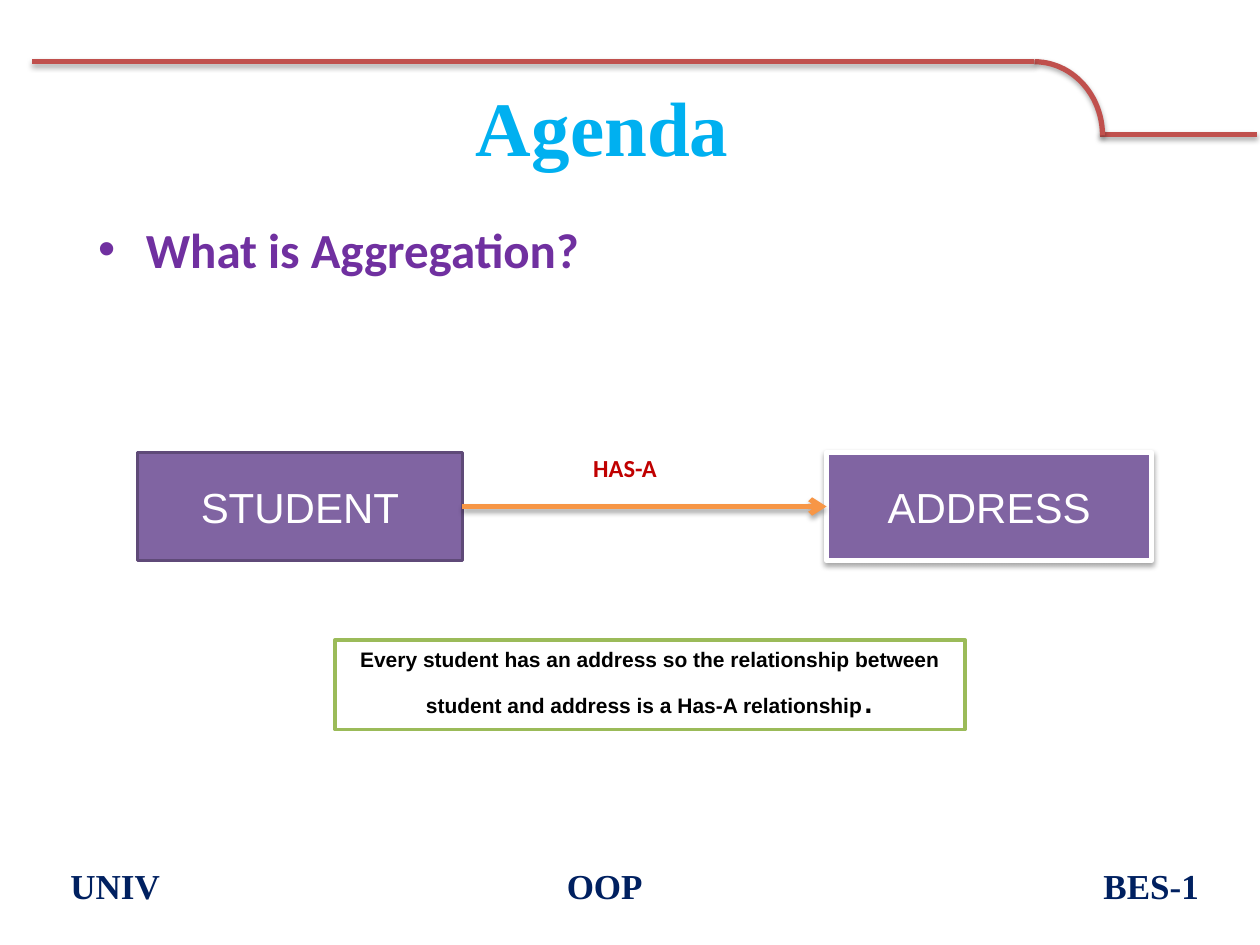
from lxml import etree
from pptx import Presentation
from pptx import util as u
from pptx.dml import color
from pptx.enum import shapes, text
from pptx.oxml import ns

SERIF, SANS, BODY = "Times New Roman", "Arial", "Calibri"
LEFT, CENTER = text.PP_ALIGN.LEFT, text.PP_ALIGN.CENTER
TOP, MIDDLE = text.MSO_ANCHOR.TOP, text.MSO_ANCHOR.MIDDLE


def rgb(value):
    return color.RGBColor.from_string(value)


def child(parent, tag, **attributes):
    node = etree.SubElement(parent, ns.qn(tag))
    for key, value in attributes.items():
        node.set(key, str(value))
    return node


def write(paragraph, words, size=12, font=SANS, ink="000000", bold=False):
    run = paragraph.add_run()
    run.text = words
    run.font.size = u.Pt(size)
    run.font.name = font
    run.font.bold = bold
    run.font.color.rgb = rgb(ink)


class AgendaSlide:
    rule_color, arrow_color = "C0504D", "F79646"
    box_fill, box_edge = "8064A2", "5F4A78"

    def __init__(self, deck):
        self.slide = deck.slides.add_slide(deck.slide_layouts[6])

    def stroke(self, item, ink, width):
        item.line.color.rgb = rgb(ink)
        item.line.width = u.Pt(width)

    def shadow(self, item):
        effects = child(item._element.spPr, "a:effectLst")
        cast = child(effects, "a:outerShdw", blurRad=u.Pt(3.1), dist=u.Pt(1.8),
                     dir=5400000, rotWithShape=0)
        black = child(cast, "a:srgbClr", val="000000")
        child(black, "a:alpha", val=35000)

    def line(self, start, end, ink=rule_color):
        item = self.slide.shapes.add_connector(
            shapes.MSO_CONNECTOR.STRAIGHT, *map(u.Inches, start + end))
        self.stroke(item, ink, 3)
        self.shadow(item)
        return item

    def arc(self, *place):
        item = self.slide.shapes.add_shape(
            shapes.MSO_SHAPE.ARC, *map(u.Inches, place))
        item.fill.background()
        self.stroke(item, self.rule_color, 3)
        self.shadow(item)

    def arrow(self, source, target):
        item = self.line((0, 0), (1, 1), self.arrow_color)
        item.begin_connect(source, 3)
        item.end_connect(target, 1)
        child(item.line._get_or_add_ln(), "a:tailEnd", type="arrow")

    def label(self, place, words, align=LEFT, anchor=TOP, wrap=True, **style):
        item = self.slide.shapes.add_textbox(*map(u.Inches, place))
        item.text_frame.word_wrap = wrap
        item.text_frame.vertical_anchor = anchor
        paragraph = item.text_frame.paragraphs[0]
        paragraph.alignment = align
        write(paragraph, words, bold=True, **style)
        return paragraph._p.get_or_add_pPr()

    def bullet(self, place, words, **style):
        properties = self.label(place, words, **style)
        indent = u.Inches(0.38)
        properties.set("marL", str(indent))
        properties.set("indent", str(-indent))
        child(properties, "a:buFont", typeface=SANS)
        child(properties, "a:buChar", char="•")

    def footer(self, place, parts, stops, **style):
        properties = self.label(place, "\t".join(parts), anchor=MIDDLE, **style)
        tabs = child(properties, "a:tabLst")
        for stop in stops:
            child(tabs, "a:tab", pos=u.Inches(stop), algn="l")

    def box(self, place, fill, edge, width, runs, anchor=MIDDLE, shadow=False):
        item = self.slide.shapes.add_shape(
            shapes.MSO_SHAPE.RECTANGLE, *map(u.Inches, place))
        item.fill.solid()
        item.fill.fore_color.rgb = rgb(fill)
        self.stroke(item, edge, width)
        if shadow:
            self.shadow(item)
        else:
            item.shadow.inherit = False
        item.text_frame.word_wrap = True
        item.text_frame.vertical_anchor = anchor
        paragraph = item.text_frame.paragraphs[0]
        paragraph.alignment = CENTER
        for words, style in runs:
            write(paragraph, words, **style)
        return item

    def entity(self, left, name, edge, width, shadow=False):
        style = dict(size=24, ink="FFFFFF")
        return self.box((left, 3.59, 2.58, 0.86), self.box_fill, edge, width,
                        [(name, style)], shadow=shadow)


def main():
    deck = Presentation()
    deck.slide_width, deck.slide_height = u.Inches(10), u.Inches(7.5)
    agenda = AgendaSlide(deck)

    agenda.line((8.73, 1.07), (9.98, 1.07))
    agenda.arc(7.67, 0.49, 1.08, 1.17)
    agenda.line((8.21, 0.49), (0.25, 0.49))

    agenda.label((0.74, 0.58, 8.08, 0.84), "Agenda", align=CENTER,
                 anchor=MIDDLE, size=44, font=SERIF, ink="00B0F0")
    agenda.bullet((0.68, 1.69, 8.12, 4.25), "What is Aggregation?",
                  size=28, font=BODY, ink="7030A0")
    agenda.footer((0.46, 6.77, 9.54, 0.52), ("UNIV", "OOP", "BES-1"),
                  (3.94, 8.2), size=20, font=SERIF, ink="002060")

    student = agenda.entity(1.09, "STUDENT", agenda.box_edge, 2)
    address = agenda.entity(6.56, "ADDRESS", "FFFFFF", 3, shadow=True)
    agenda.arrow(student, address)
    explanation = ("Every student has an address so the relationship between "
                   "student and address is a Has-A relationship")
    agenda.box((2.66, 5.08, 5, 0.71), "FFFFFF", "9BBB59", 2,
               [(explanation, dict(bold=True)), (".", dict(size=24))], anchor=TOP)
    agenda.label((4.61, 3.55, 0.72, 0.34), "HAS-A", wrap=False,
                 size=14, font=BODY, ink="C00000")

    deck.save("out.pptx")


if __name__ == "__main__":
    main()
